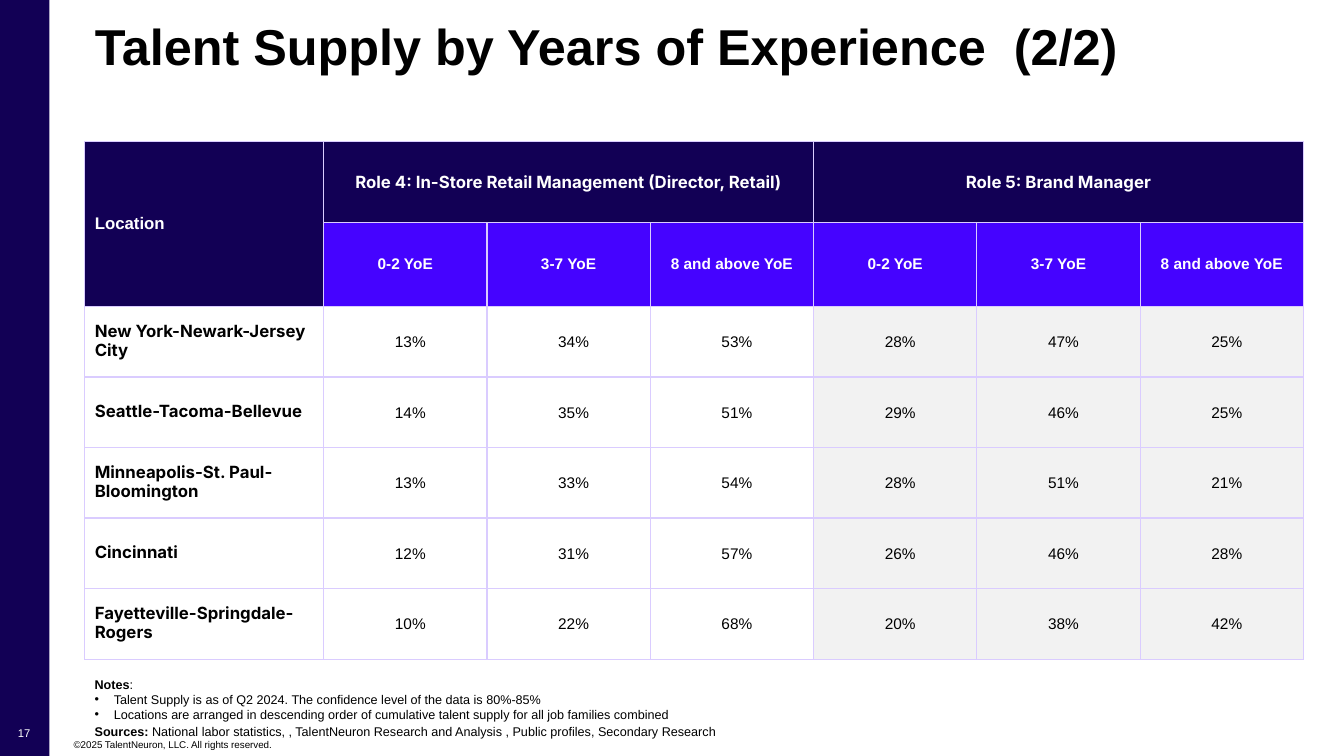
from lxml import etree
from pptx import Presentation
from pptx import util as u
from pptx.dml.color import RGBColor
from pptx.enum import shapes, text
from pptx.oxml import ns

UNIT = u.Inches(0.01)
COLUMNS, ROWS = 1333, 750

NAVY = RGBColor(0x12, 0x00, 0x55)
VIOLET = RGBColor(0x45, 0x03, 0xFF)
LILAC = RGBColor(0xDA, 0xCC, 0xFF)
GREY = RGBColor(0xF2, 0xF2, 0xF2)
WHITE = RGBColor(0xFF, 0xFF, 0xFF)
BLACK = RGBColor(0x00, 0x00, 0x00)

LEFT, CONTENT_WIDTH = 84, 1209
RAIL_WIDTH = 49
LOCATION_WIDTH, SHARE_WIDTH = 237, 162
ROLE_HEIGHT, BAND_HEIGHT, CITY_HEIGHT = 81, 83, 70

ROLES = ["Role 4: In-Store Retail Management (Director, Retail)", "Role 5: Brand Manager"]
BANDS = ["0-2 YoE", "3-7 YoE", "8 and above YoE"]
SUPPLY = {
    "New York-Newark-Jersey City": [13, 34, 53, 28, 47, 25],
    "Seattle-Tacoma-Bellevue": [14, 35, 51, 29, 46, 25],
    "Minneapolis-St. Paul-Bloomington": [13, 33, 54, 28, 51, 21],
    "Cincinnati": [12, 31, 57, 26, 46, 28],
    "Fayetteville-Springdale-Rogers": [10, 22, 68, 20, 38, 42],
}
NOTES = [
    "Talent\u00a0Supply is as of Q2 2024. The confidence level of the data is 80%-85%",
    "Locations are arranged in descending order of cumulative talent supply for all job families combined",
]
SOURCES = "National labor statistics, , TalentNeuron Research and Analysis , Public profiles, Secondary Research"


def grid(*cells):
    return [round(cell * UNIT) for cell in cells]


def style(paragraph, size, color=BLACK, bold=False, face="Arial", align=text.PP_ALIGN.LEFT):
    paragraph.alignment = align
    font = paragraph.font
    font.size, font.bold, font.name = u.Pt(size), bold, face
    font.color.rgb = color


def set_insets(holder, left, top, right, bottom):
    holder.margin_left, holder.margin_top, holder.margin_right, holder.margin_bottom = grid(
        left, top, right, bottom)


def indent(paragraph, margin, first=0):
    properties = paragraph._p.get_or_add_pPr()
    properties.set("marL", str(grid(margin)[0]))
    properties.set("indent", str(grid(first)[0]))
    return properties


def add_frame(slide, box, anchor=text.MSO_ANCHOR.MIDDLE):
    frame = slide.shapes.add_textbox(*grid(*box)).text_frame
    frame.word_wrap = True
    frame.vertical_anchor = anchor
    return frame


def add_title(slide, wording):
    title = slide.shapes.title
    title.left, title.top, title.width, title.height = grid(LEFT, 13, 1227, 71)
    frame = title.text_frame
    frame.text = wording
    frame.auto_size = text.MSO_AUTO_SIZE.NONE
    frame.vertical_anchor = text.MSO_ANCHOR.MIDDLE
    frame.paragraphs[0].line_spacing = 0.9
    style(frame.paragraphs[0], 36, bold=True)


def add_rail(slide, page):
    rail = slide.shapes.add_shape(shapes.MSO_SHAPE.RECTANGLE, *grid(0, 0, RAIL_WIDTH, ROWS))
    rail.shadow.inherit = False
    rail.fill.solid()
    rail.fill.fore_color.rgb = NAVY
    rail.line.fill.background()
    number = add_frame(slide, (5, 711, 38, 33)).paragraphs[0]
    number.text = page
    style(number, 8, WHITE, align=text.PP_ALIGN.CENTER)


def add_copyright(slide, wording):
    frame = add_frame(slide, (73, 732, 799, 12), text.MSO_ANCHOR.BOTTOM)
    set_insets(frame, 0, 0, 0, 0)
    frame.text = wording
    style(frame.paragraphs[0], 7)


def outline(cell):
    properties = cell._tc.get_or_add_tcPr()
    for side in ("a:lnL", "a:lnR", "a:lnT", "a:lnB"):
        edge = etree.SubElement(properties, ns.qn(side), w=str(u.Pt(1)))
        paint = etree.SubElement(edge, ns.qn("a:solidFill"))
        etree.SubElement(paint, ns.qn("a:srgbClr"), val=str(LILAC))


def fill_cell(cell, wording, fill, insets, size, color=BLACK, spacing=None, **look):
    cell.text = wording
    cell.vertical_anchor = text.MSO_ANCHOR.MIDDLE
    set_insets(cell, *insets)
    cell.fill.solid()
    cell.fill.fore_color.rgb = fill
    paragraph = cell.text_frame.paragraphs[0]
    paragraph.line_spacing = spacing
    style(paragraph, size, color, **look)
    return paragraph


def add_supply_table(slide):
    share_count = len(ROLES) * len(BANDS)
    widths = [LOCATION_WIDTH] + [SHARE_WIDTH] * share_count
    heights = [ROLE_HEIGHT, BAND_HEIGHT] + [CITY_HEIGHT] * len(SUPPLY)
    table = slide.shapes.add_table(
        len(heights), len(widths), *grid(LEFT, 140, sum(widths), sum(heights))).table
    table.first_row = table.horz_banding = False
    for column, width in zip(table.columns, grid(*widths)):
        column.width = width
    for row, height in zip(table.rows, grid(*heights)):
        row.height = height
    for cell in table.iter_cells():
        outline(cell)

    centre = text.PP_ALIGN.CENTER
    tight = (1, 1, 1, 0)
    table.cell(0, 0).merge(table.cell(1, 0))
    fill_cell(table.cell(0, 0), "Location", NAVY, (10, 10, 10, 10), 12, WHITE, bold=True)
    for index, role in enumerate(ROLES):
        first = 1 + index * len(BANDS)
        table.cell(0, first).merge(table.cell(0, first + len(BANDS) - 1))
        fill_cell(table.cell(0, first), role, NAVY, tight, 12, WHITE,
                  bold=True, face="Inter", align=centre)
        for offset, band in enumerate(BANDS):
            fill_cell(table.cell(1, first + offset), band, VIOLET, (0, 0, 0, 0), 11, WHITE,
                      bold=True, align=centre)
    for row, (city, supply) in enumerate(SUPPLY.items(), 2):
        fill_cell(table.cell(row, 0), city, WHITE, (10, 5, 10, 5), 12,
                  spacing=u.Pt(13.5), bold=True, face="Inter")
        for column, percent in enumerate(supply, 1):
            fill = WHITE if column <= len(BANDS) else GREY
            share = fill_cell(table.cell(row, column), f"{percent}%", fill, tight, 11, align=centre)
            indent(share, 10)


def add_lead(paragraph, lead, rest):
    style(paragraph, 9)
    run = paragraph.add_run()
    run.text = lead
    run.font.bold = True
    paragraph.add_run().text = rest


def add_notes(slide):
    frame = add_frame(slide, (LEFT, 667, CONTENT_WIDTH, 70))
    add_lead(frame.paragraphs[0], "Notes", ":")
    for note in NOTES:
        item = frame.add_paragraph()
        item.text = note
        properties = indent(item, 19, -19)
        etree.SubElement(properties, ns.qn("a:buFont"), typeface="Arial")
        etree.SubElement(properties, ns.qn("a:buChar"), char="•")
        style(item, 9)
    item.space_after = u.Pt(1)
    add_lead(frame.add_paragraph(), "Sources: ", SOURCES)


def main():
    deck = Presentation()
    deck.slide_width, deck.slide_height = grid(COLUMNS, ROWS)
    slide = deck.slides.add_slide(deck.slide_layouts[5])
    add_rail(slide, "17")
    add_copyright(slide, "©2025 TalentNeuron, LLC. All rights reserved.")
    add_title(slide, "Talent Supply by Years of Experience  (2/2)")
    add_supply_table(slide)
    add_notes(slide)
    deck.save("out.pptx")


if __name__ == "__main__":
    main()
